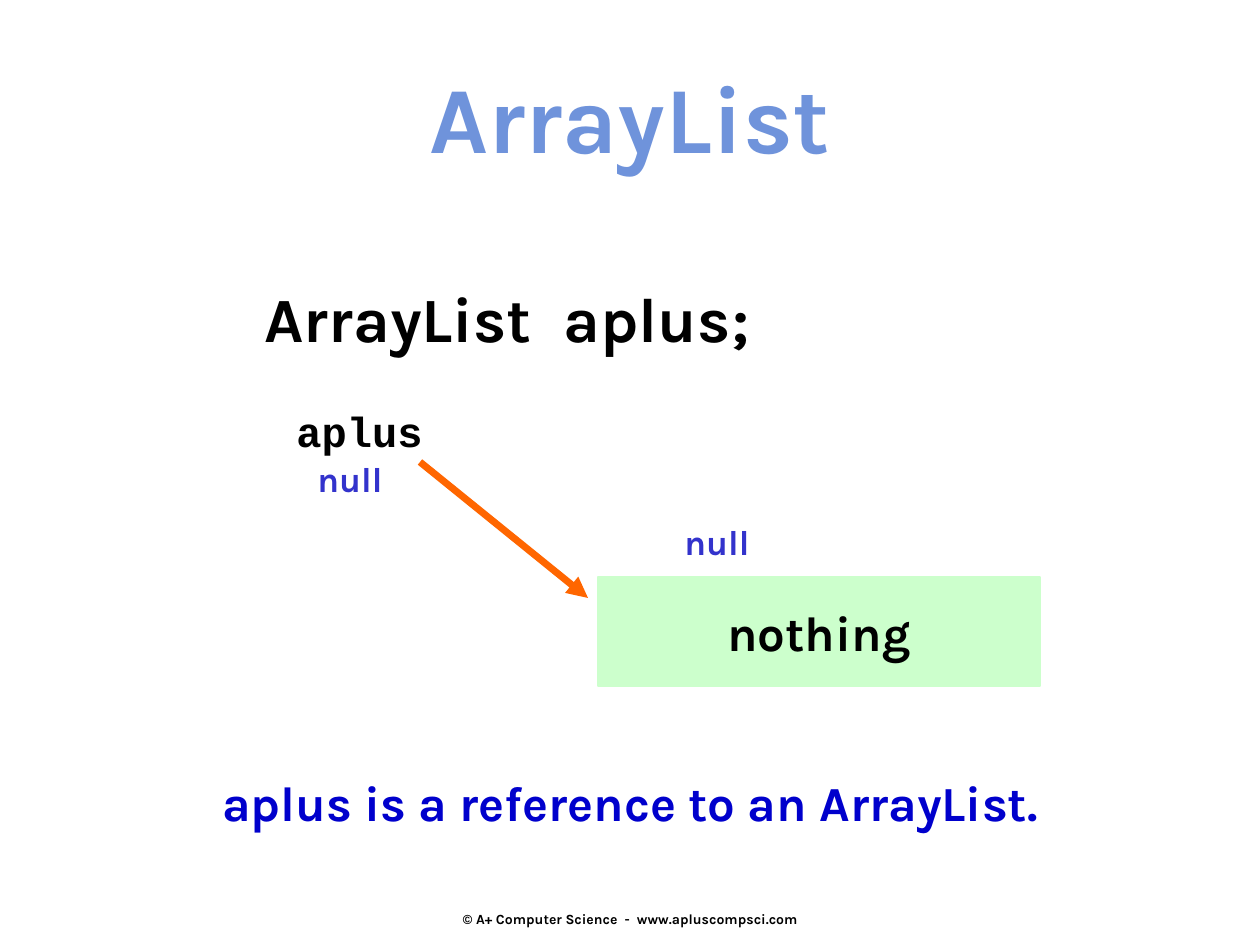
from dataclasses import dataclass

from lxml.etree import SubElement
from pptx import Presentation
from pptx.dml.color import RGBColor
from pptx.enum.shapes import MSO_CONNECTOR as Connector, MSO_SHAPE as Shape
from pptx.enum.text import MSO_ANCHOR as Anchor, MSO_AUTO_SIZE as AutoSize, PP_ALIGN as Align
from pptx.oxml.ns import qn
from pptx.util import Emu, Pt

PX_PER_INCH = 126
TITLE_ONLY = 5
BLACK, BLUE, INDIGO = "000000", "0000CC", "3333CC"
TITLE_BLUE, GREEN, ORANGE = "6F93DB", "CCFFCC", "FF6600"


@dataclass
class Box:
    x: int
    y: int
    w: int
    h: int


@dataclass
class Label:
    text: str
    box: Box
    size: int
    color: str = BLACK
    font: str = "Karla"
    align: Align = Align.LEFT


LABELS = [
    Label("aplus", Box(283, 399, 153, 115), 24, font="Courier New", align=Align.CENTER),
    Label("null", Box(305, 451, 126, 54), 20, INDIGO),
    Label("null", Box(672, 514, 139, 54), 20, INDIGO),
    Label("ArrayList  aplus;", Box(252, 273, 559, 89), 36),
    Label("aplus is a reference to an ArrayList.", Box(210, 766, 905, 72), 28, BLUE),
]


def px(n: int) -> Emu:
    return Emu(round(n * 914400 / PX_PER_INCH))


def rgb(color: str) -> RGBColor:
    return RGBColor.from_string(color)


def place(sp, box: Box) -> None:
    sp.left, sp.top, sp.width, sp.height = map(px, (box.x, box.y, box.w, box.h))


def write(sp, text: str, *, size: int, color: str = BLACK, font: str = "Karla",
          align: Align = Align.LEFT, anchor: Anchor = Anchor.TOP):
    tf = sp.text_frame
    tf.word_wrap = True
    tf.auto_size = AutoSize.NONE
    tf.vertical_anchor = anchor
    p = tf.paragraphs[0]
    p.alignment = align
    r = p.add_run()
    r.text = text
    r.font.name, r.font.size, r.font.bold = font, Pt(size), True
    r.font.color.rgb = rgb(color)
    return tf


def add_box(slide, box: Box):
    return slide.shapes.add_textbox(*map(px, (box.x, box.y, box.w, box.h)))


def add_label(slide, label: Label) -> None:
    write(add_box(slide, label.box), label.text, size=label.size, color=label.color,
          font=label.font, align=label.align)


def add_title(slide) -> None:
    title = slide.shapes.title
    place(title, Box(0, 53, 1260, 127))
    write(title, "ArrayList", size=54, color=TITLE_BLUE, align=Align.CENTER)


def add_target(slide) -> None:
    sp = slide.shapes.add_shape(Shape.RECTANGLE, px(598), px(577), px(442), px(109))
    sp.shadow.inherit = False
    sp.fill.solid()
    sp.fill.fore_color.rgb = rgb(GREEN)
    sp.line.color.rgb = rgb(GREEN)
    sp.line.width = Pt(1)
    write(sp, "nothing", size=28, align=Align.CENTER, anchor=Anchor.MIDDLE)


def add_arrow(slide) -> None:
    arrow = slide.shapes.add_connector(Connector.STRAIGHT, px(420), px(462), px(588), px(598))
    arrow.line.color.rgb = rgb(ORANGE)
    arrow.line.width = Pt(4)
    sp_pr = arrow.element.spPr
    SubElement(sp_pr.find(qn("a:ln")), qn("a:tailEnd"), type="triangle")
    SubElement(sp_pr, qn("a:effectLst"))


def add_footer(slide) -> None:
    tf = write(add_box(slide, Box(431, 861, 399, 66)),
               "© A+ Computer Science  -  www.apluscompsci.com",
               size=8, align=Align.CENTER, anchor=Anchor.BOTTOM)
    tf.margin_bottom = 0


def main() -> None:
    prs = Presentation()
    prs.slide_width, prs.slide_height = px(1260), px(945)
    slide = prs.slides.add_slide(prs.slide_layouts[TITLE_ONLY])
    add_title(slide)
    add_footer(slide)
    add_target(slide)
    add_arrow(slide)
    for label in LABELS:
        add_label(slide, label)
    prs.save("out.pptx")


if __name__ == "__main__":
    main()
